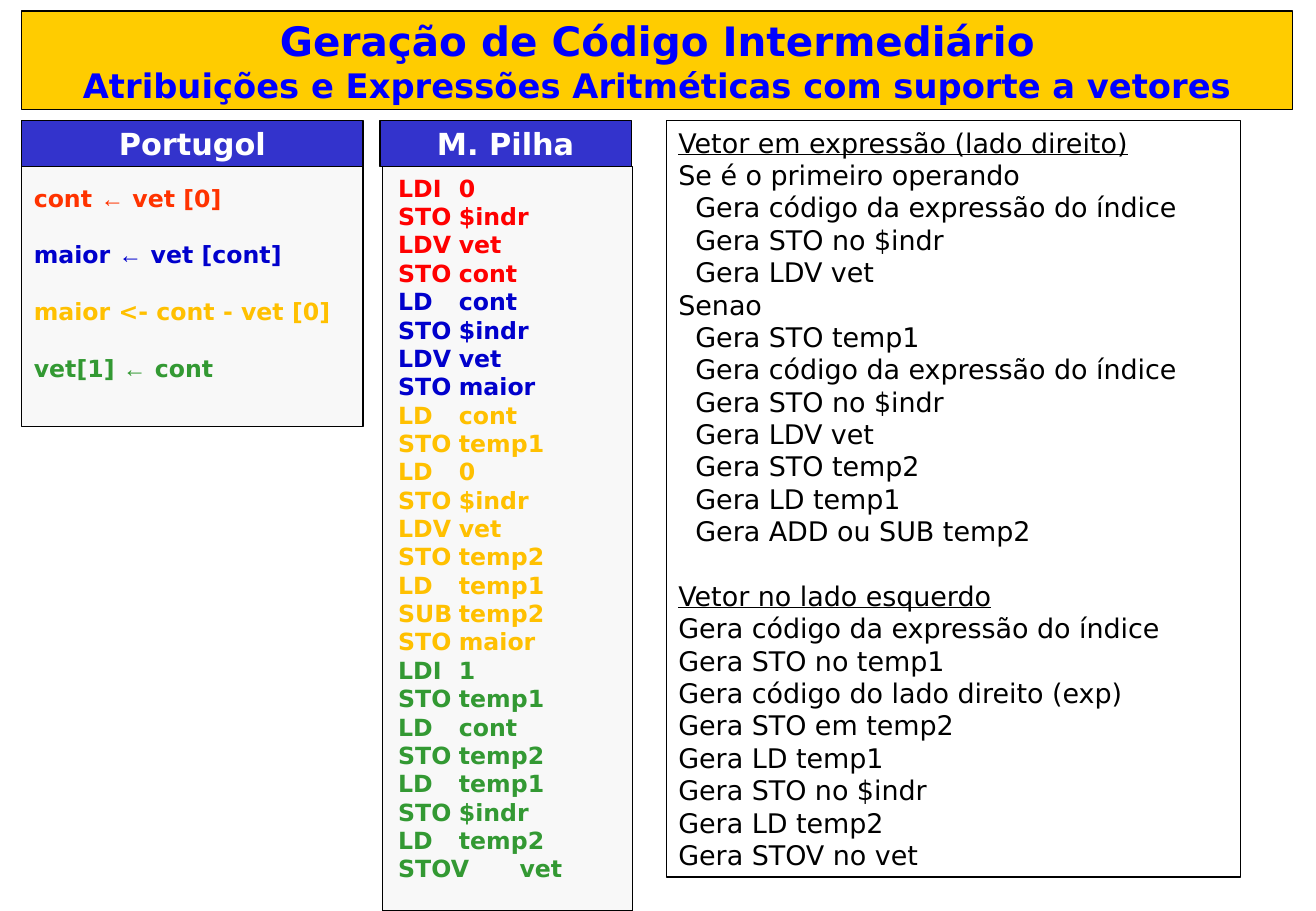
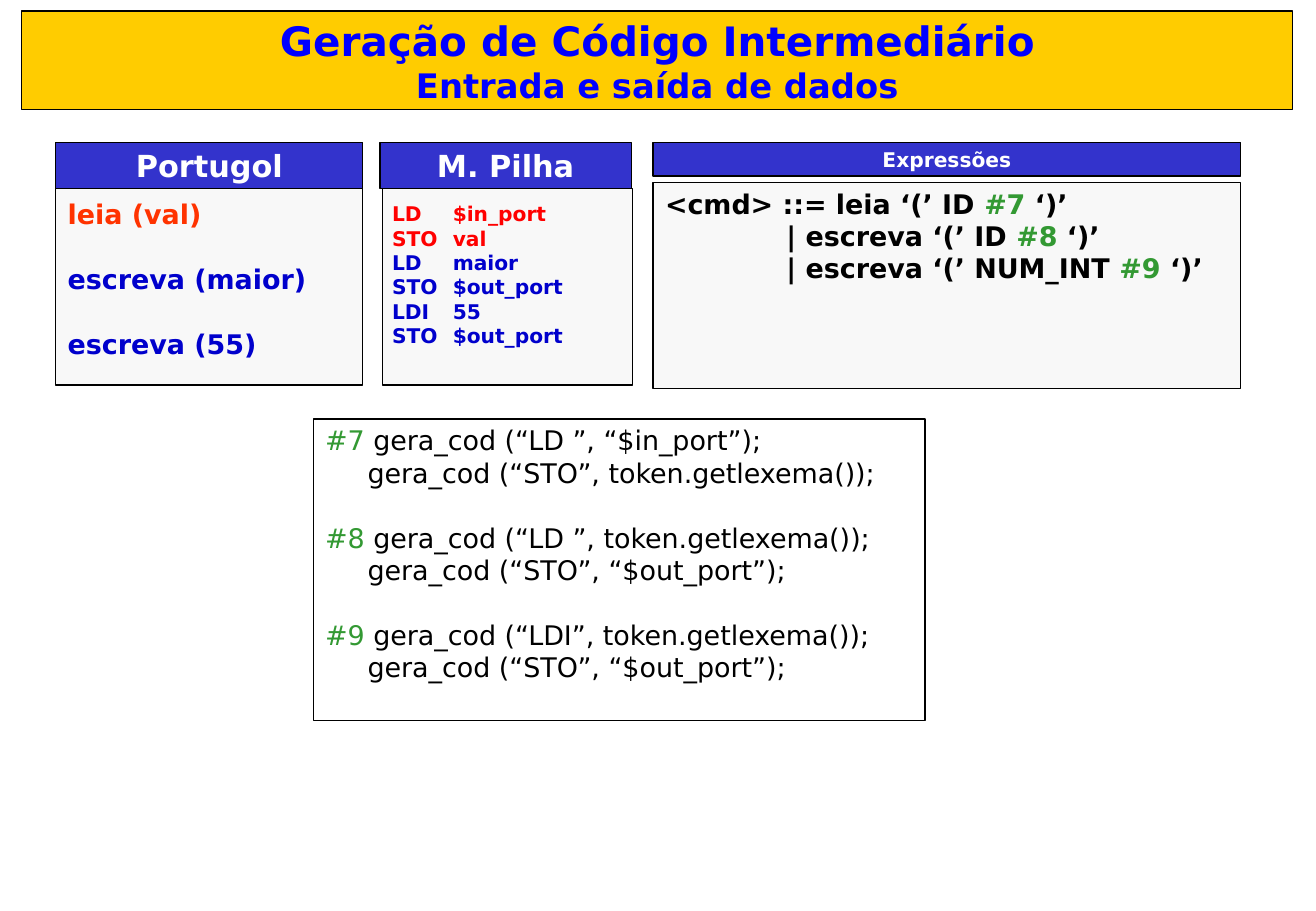
"""Build two slides on intermediate code generation."""
from dataclasses import dataclass

from lxml.etree import SubElement
from pptx import Presentation
from pptx.dml.color import RGBColor as Rgb
from pptx.enum.shapes import MSO_SHAPE as Kind
from pptx.enum.text import MSO_ANCHOR as Anchor
from pptx.enum.text import MSO_AUTO_SIZE as Auto
from pptx.enum.text import PP_ALIGN as Align
from pptx.oxml.ns import qn
from pptx.util import Inches, Pt


@dataclass(frozen=True)
class Theme:
    font: str = "DejaVu Sans"
    symbol: str = "Arial"
    gold: str = "FFCC00"
    title: str = "0000FF"
    head: str = "3333CC"
    body: str = "F8F8F8"
    white: str = "FFFFFF"
    black: str = "000000"
    red: str = "FF0000"
    coral: str = "FF3300"
    blue: str = "0000CC"
    amber: str = "FFC000"
    green: str = "339933"
    big: int = 24
    sub: int = 20
    label: int = 18
    text: int = 16
    code: int = 14
    small: int = 12
    edge: float = 0.75
    pitch: float = 1.2


T = Theme()


@dataclass
class Line:
    runs: list
    gap: bool = False
    indent: float = 0
    tab: float = 0
    under: bool = False
    size: int = 0


@dataclass
class Box:
    at: tuple
    lines: list
    size: int = T.text
    fill: str = ""
    bold: bool = False
    align: Align = Align.LEFT
    inset: tuple = (0.1, 0.04)


def head(text, at, size=T.label):
    return Box(at, [Line([(text, T.white)])], size, T.head, True, Align.CENTER)


def body(at, lines, size=T.text, inset=(0.1, 0.04)):
    return Box(at, lines, size, T.body, True, inset=inset)


def stack(groups):
    return [Line([(row.replace(" ", "\t"), color)], tab=0.78)
            for color, rows in groups for row in rows.split(", ")]


def spread(rows):
    return [Line([row], gap=i > 0) for i, row in enumerate(rows)]


def plain(text, **style):
    return Line([(text, T.black)], **style)


def steps(rows):
    return [plain(row, indent=0.14) for row in rows]


def rule(lead, mark, indent=0):
    return Line([(lead, T.black), (mark, T.green), (" ‘)’", T.black)], indent=indent)


def action(mark, first, last, gap=True):
    return [Line([(mark + " ", T.green), (f"gera_cod ({first});", T.black)], gap=gap),
            plain(f"gera_cod ({last});", indent=0.35)]


VECTOR = [
    (T.red, "LDI 0, STO $indr, LDV vet, STO cont"),
    (T.blue, "LD cont, STO $indr, LDV vet, STO maior"),
    (T.amber, "LD cont, STO temp1, LD 0, STO $indr, LDV vet, STO temp2, "
              "LD temp1, SUB temp2, STO maior"),
    (T.green, "LDI 1, STO temp1, LD cont, STO temp2, LD temp1, STO $indr, "
              "LD temp2, STOV vet"),
]
PORTS = [
    (T.red, "LD $in_port, STO val"),
    (T.blue, "LD maior, STO $out_port, LDI 55, STO $out_port"),
]
ASSIGN = [
    ("cont ← vet [0]", T.coral),
    ("maior ← vet [cont]", T.blue),
    ("maior <- cont - vet [0]", T.amber),
    ("vet[1] ← cont", T.green),
]
CALLS = [
    ("leia (val)", T.coral),
    ("escreva (maior)", T.blue),
    ("escreva (55)", T.blue),
]
INDEX = "Gera código da expressão do índice"
NOTES = [
    plain("Vetor em expressão (lado direito)", under=True),
    plain("Se é o primeiro operando"),
    *steps([INDEX, "Gera STO no $indr", "Gera LDV vet"]),
    plain("Senao"),
    *steps(["Gera STO temp1", INDEX, "Gera STO no $indr", "Gera LDV vet",
            "Gera STO temp2", "Gera LD temp1", "Gera ADD ou SUB temp2"]),
    plain("Vetor no lado esquerdo", gap=True, under=True),
    *map(plain, [INDEX, "Gera STO no temp1", "Gera código do lado direito (exp)",
                 "Gera STO em temp2", "Gera LD temp1", "Gera STO no $indr",
                 "Gera LD temp2", "Gera STOV no vet"]),
]
GRAMMAR = [
    rule("<cmd> ::= leia ‘(’ ID ", "#7"),
    rule("| escreva ‘(’ ID ", "#8", 1),
    rule("| escreva ‘(’ NUM_INT ", "#9", 1),
]
LEXEME = "token.getlexema()"
ACTIONS = [
    *action("#7", "“LD ”, “$in_port”", f"“STO”, {LEXEME}", False),
    *action("#8", f"“LD ”, {LEXEME}", "“STO”, “$out_port”"),
    *action("#9", f"“LDI”, {LEXEME}", "“STO”, “$out_port”"),
]

TITLE = "Geração de Código Intermediário"
BAND = (0.18, 0.09, 10.47, 0.81)
DECK = [
    ("Atribuições e Expressões Aritméticas com suporte a vetores", [
        body((3.15, 1.37, 2.06, 6.13), stack(VECTOR), T.code, (0.13, 0.06)),
        head("M. Pilha", (3.13, 0.99, 2.07, 0.38)),
        body((0.18, 1.37, 2.81, 2.14), spread(ASSIGN), T.code, (0.1, 0.14)),
        head("Portugol", (0.18, 0.99, 2.81, 0.38)),
        Box((5.49, 0.99, 4.73, 6.23), NOTES, inset=(0.1, 0.05)),
    ]),
    ("Entrada e saída de dados", [
        body((3.15, 1.55, 2.06, 1.62), stack(PORTS), T.small, (0.08, 0.11)),
        head("M. Pilha", (3.13, 1.17, 2.07, 0.38)),
        body((0.46, 1.55, 2.53, 1.62), spread(CALLS), inset=(0.1, 0.08)),
        head("Portugol", (0.46, 1.17, 2.53, 0.38)),
        body((5.38, 1.5, 4.84, 1.7), GRAMMAR),
        head("Expressões", (5.38, 1.17, 4.84, 0.28), T.small),
        Box((2.58, 3.45, 5.04, 2.48), ACTIONS),
    ]),
]


def write(para, line, box):
    size = line.size or box.size
    para.alignment = box.align
    para.line_spacing = Pt(size * T.pitch)
    para.space_before = Pt(size * T.pitch if line.gap else 0)
    props = para._p.get_or_add_pPr()
    props.set("marL", str(Inches(line.indent)))
    props.set("indent", "0")
    if line.tab:
        tabs = SubElement(props, qn("a:tabLst"))
        SubElement(tabs, qn("a:tab"), pos=str(Inches(line.tab)), algn="l")
    for text, color in line.runs:
        for part in filter(None, text.partition("←")):
            run = para.add_run()
            run.text = part
            font = run.font
            font.name = T.symbol if part == "←" else T.font
            font.size = Pt(size)
            font.bold = box.bold
            font.underline = line.under
            font.color.rgb = Rgb.from_string(color)


def dress(shape, box):
    shape.left, shape.top, shape.width, shape.height = map(Inches, box.at)
    if box.fill:
        shape.fill.solid()
        shape.fill.fore_color.rgb = Rgb.from_string(box.fill)
    else:
        shape.fill.background()
    shape.line.color.rgb = Rgb.from_string(T.black)
    shape.line.width = Pt(T.edge)
    frame = shape.text_frame
    frame.word_wrap = True
    frame.auto_size = Auto.NONE
    frame.vertical_anchor = Anchor.TOP
    side, top = map(Inches, box.inset)
    frame.margin_left = frame.margin_right = side
    frame.margin_top = frame.margin_bottom = top
    for i, line in enumerate(box.lines):
        write(frame.add_paragraph() if i else frame.paragraphs[0], line, box)


def main():
    deck = Presentation()
    deck.slide_width, deck.slide_height = Inches(10.84), Inches(7.5)
    for topic, boxes in DECK:
        slide = deck.slides.add_slide(deck.slide_layouts[5])
        lines = [Line([(TITLE, T.title)], size=T.big),
                 Line([(topic, T.title)], size=T.sub)]
        dress(slide.shapes.title,
              Box(BAND, lines, fill=T.gold, bold=True, align=Align.CENTER))
        for box in boxes:
            shape = slide.shapes.add_shape(Kind.RECTANGLE, *map(Inches, box.at))
            shape.shadow.inherit = False
            dress(shape, box)
    deck.save("out.pptx")


if __name__ == "__main__":
    main()
